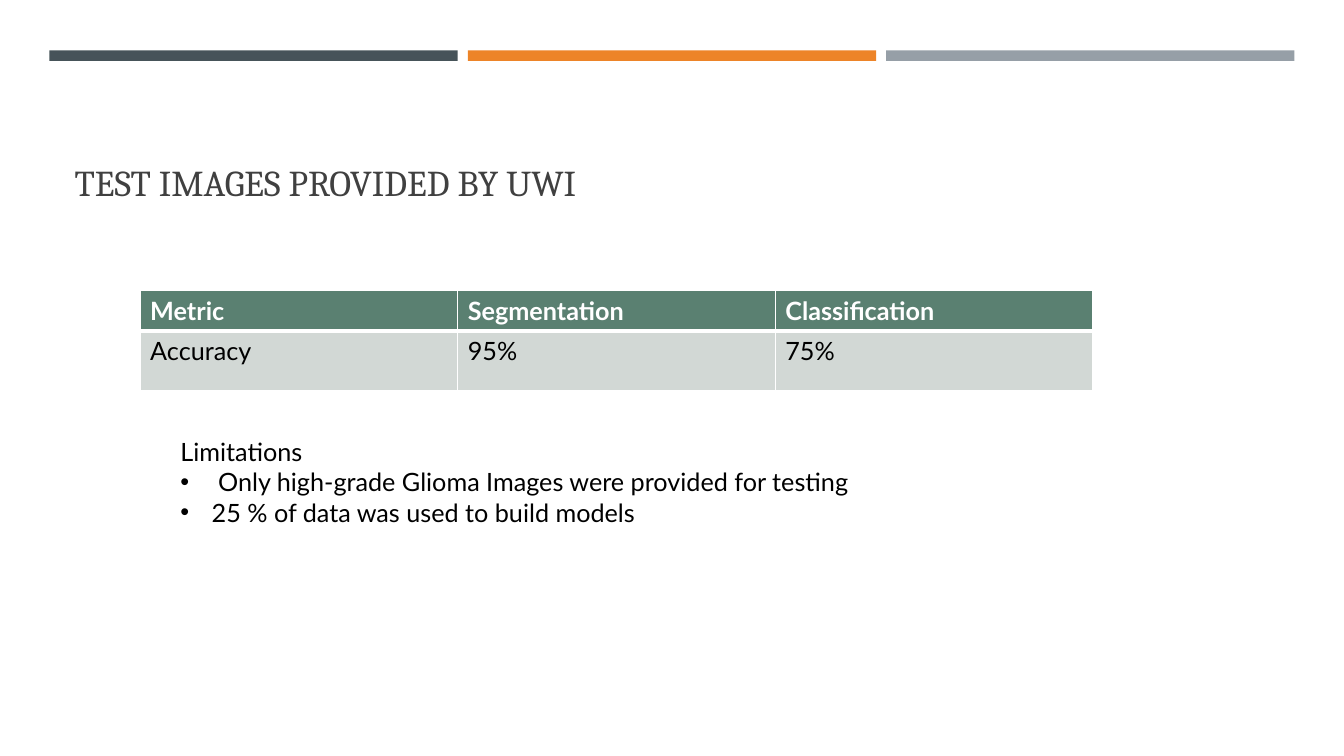
"""Build the slide of test results on the images provided by UWI."""
from dataclasses import dataclass

from lxml import etree
from pptx import Presentation
from pptx import util as u
from pptx.dml.color import RGBColor
from pptx.enum import shapes, text
from pptx.oxml.ns import qn


@dataclass
class Theme:
    bars: tuple = ("465359", "ED8428", "969FA7")
    title: str = "404040"
    ink: str = "000000"
    paper: str = "FFFFFF"
    header: str = "5A8071"
    band: str = "D2D8D5"
    title_font: str = "Cambria"
    body_font: str = "Lato"
    title_size: int = 26
    body_size: int = 18


theme = Theme()
presentation = Presentation()
presentation.slide_width = u.Inches(13.33)
presentation.slide_height = u.Inches(7.5)
column = presentation.slide_width / 100
row = presentation.slide_height / 100


def place(left, top, width, height):
    return [int(left * column), int(top * row), int(width * column), int(height * row)]


def write(paragraph, words, font_name, size, color, bold=False):
    run = paragraph.add_run()
    run.text = words
    run.font.name = font_name
    run.font.size = u.Pt(size)
    run.font.bold = bold
    run.font.color.rgb = RGBColor.from_string(color)


slide = presentation.slides.add_slide(presentation.slide_layouts[1])
slide.background.fill.solid()
slide.background.fill.fore_color.rgb = RGBColor.from_string(theme.paper)

for index, color in enumerate(theme.bars):
    bar = slide.shapes.add_shape(
        shapes.MSO_SHAPE.RECTANGLE, *place(3.68 + index * 31.13, 6.67, 30.38, 1.4)
    )
    bar.shadow.inherit = False
    bar.fill.solid()
    bar.fill.fore_color.rgb = RGBColor.from_string(color)
    bar.line.fill.background()

title = slide.shapes.title
title.left, title.top, title.width, title.height = place(4.8, 16.53, 90.47, 11.07)
title.text_frame.auto_size = text.MSO_AUTO_SIZE.NONE
title.text_frame.vertical_anchor = text.MSO_ANCHOR.BOTTOM
heading = title.text_frame.paragraphs[0]
heading.alignment = text.PP_ALIGN.LEFT
write(heading, "TEST IMAGES PROVIDED BY UWI", theme.title_font, theme.title_size, theme.title)

results = [("Metric", "Segmentation", "Classification"), ("Accuracy", "95%", "75%")]
row_styles = [
    (5.27, theme.header, theme.paper, True, {"lnL": 1, "lnR": 1, "lnT": 1, "lnB": 3}),
    (7.93, theme.band, theme.ink, False, {"lnL": 1, "lnR": 1, "lnT": 3, "lnB": 1}),
]
table = slide.shapes.add_table(2, 3, *place(10.43, 38.4, 70.89, 13.2)).table
for table_row, values, style in zip(table.rows, results, row_styles):
    height, fill, ink, bold, borders = style
    table_row.height = int(height * row)
    for cell, value in zip(table_row.cells, values):
        properties = cell._tc.get_or_add_tcPr()
        for edge, weight in borders.items():
            line = etree.SubElement(properties, qn(f"a:{edge}"), w=str(u.Pt(weight)))
            solid = etree.SubElement(line, qn("a:solidFill"))
            etree.SubElement(solid, qn("a:srgbClr"), val=theme.paper)
        cell.fill.solid()
        cell.fill.fore_color.rgb = RGBColor.from_string(fill)
        write(cell.text_frame.paragraphs[0], value, theme.body_font, theme.body_size, ink, bold)

limitations = [
    ("Limitations", False),
    (" Only high-grade Glioma Images were provided for testing", True),
    ("25 % of data was used to build models", True),
]
body = slide.placeholders[1]
body.left, body.top, body.width, body.height = place(12.68, 57.07, 67.82, 13.47)
frame = body.text_frame
frame.word_wrap = True
frame.auto_size = text.MSO_AUTO_SIZE.SHAPE_TO_FIT_TEXT
for index, (words, bulleted) in enumerate(limitations):
    paragraph = frame.add_paragraph() if index else frame.paragraphs[0]
    properties = paragraph._p.get_or_add_pPr()
    indent = u.Inches(0.31) if bulleted else 0
    properties.set("marL", str(indent))
    properties.set("indent", str(-indent))
    if bulleted:
        etree.SubElement(properties, qn("a:buFont"), typeface="Arial")
        etree.SubElement(properties, qn("a:buChar"), char="•")
    else:
        etree.SubElement(properties, qn("a:buNone"))
    paragraph.space_before = u.Pt(0)
    write(paragraph, words, theme.body_font, theme.body_size, theme.ink)

presentation.save("out.pptx")
